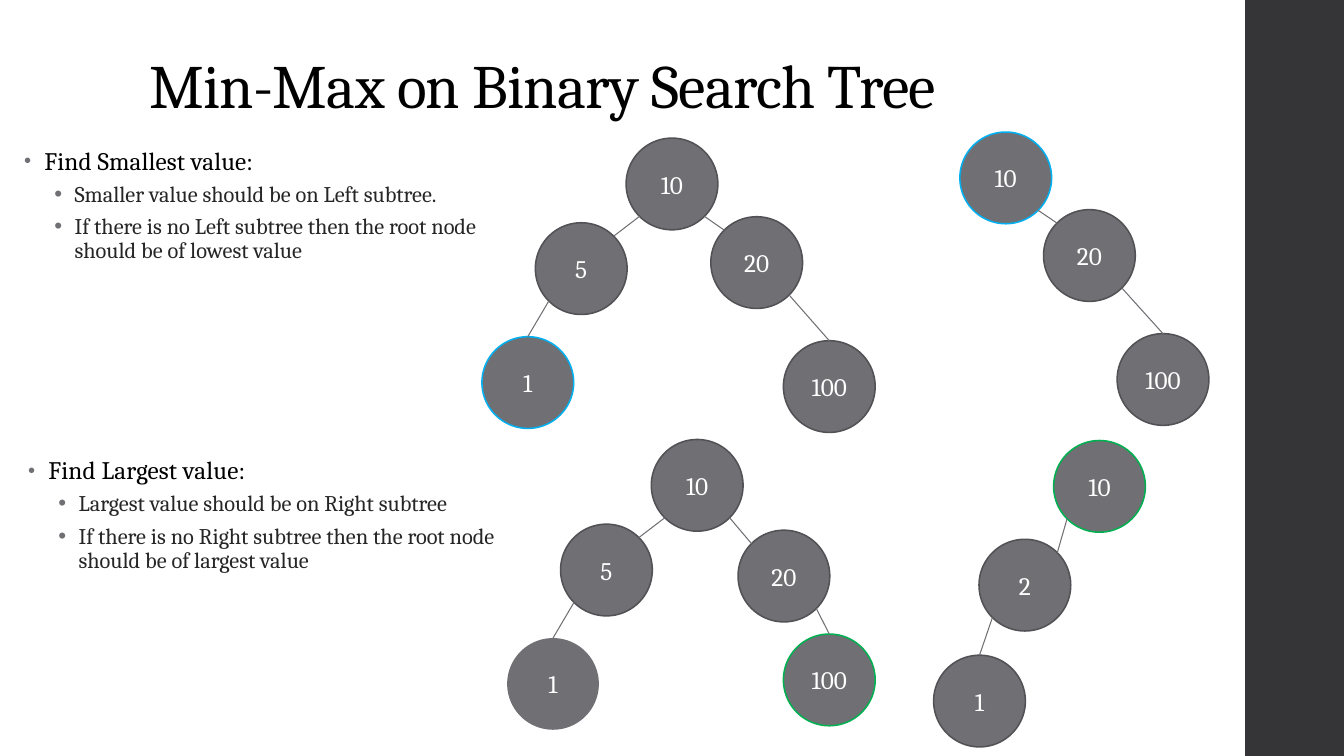
"""Builds the slide on finding minimum and maximum in a binary search tree."""
import math

from lxml import etree
from pptx import Presentation
from pptx.dml.color import RGBColor
from pptx.enum import shapes, text
from pptx.oxml import ns
from pptx.util import Inches, Pt

COLORS = {"sidebar": "353537", "node": "6F6F74", "rim": "525256", "min": "00B0F0",
          "max": "00B050", "title": "000000", "detail": "262626", "label": "FFFFFF"}
FONT = "Cambria"
DIAMETER = 0.91
RADIUS = DIAMETER / 2
CORNER = RADIUS * math.sqrt(0.5)

LEVELS = [
    {"indent": 0.2, "size": 18, "color": "title", "spacing": 10, "bullet": 80000,
     "format": {"line_spacing": 0.95, "space_before": Pt(0), "space_after": Pt(2)}},
    {"indent": 0.5, "size": 16, "color": "detail", "spacing": 0, "bullet": 100000,
     "format": {"line_spacing": 0.9, "space_before": Pt(3), "space_after": Pt(3)}},
]

LISTS = [
    ((0.14, 1.41, 5.34, 1.71), [
        "Find Smallest value:",
        "Smaller value should be on Left subtree.",
        "If there is no Left subtree then the root node should be of lowest value"]),
    ((0.18, 4.48, 5.34, 2.9), [
        "Find Largest value:",
        "Largest value should be on Right subtree",
        "If there is no Right subtree then the root node should be of largest value"]),
]

# Each node: value -> (left, top, rim colour, parent value)
TREES = [
    {10: (6.21, 1.37, "rim", None), 5: (5.31, 2.21, "rim", 10), 20: (7.05, 2.15, "rim", 10),
     1: (4.78, 3.34, "min", 5), 100: (7.77, 3.38, "rim", 20)},
    {10: (9.52, 1.31, "min", None), 20: (10.35, 2.08, "rim", 10), 100: (11.08, 3.31, "rim", 20)},
    {10: (6.46, 4.36, "rim", None), 5: (5.56, 5.2, "rim", 10), 20: (7.32, 5.26, "rim", 10),
     1: (5.03, 6.33, None, 5), 100: (7.77, 6.29, "max", 20)},
    {10: (10.45, 4.37, "max", None), 2: (9.71, 5.35, "rim", 10), 1: (9.26, 6.5, "rim", 2)},
]


def rgb(name):
    return RGBColor.from_string(COLORS[name])


def apply(target, values):
    for name, value in values.items():
        setattr(target, name, value)


def place(sp, box):
    apply(sp, dict(zip(("left", "top", "width", "height"), map(Inches, box))))


def add_run(p, words, size, color, spacing=0):
    r = p.add_run()
    r.text = words
    apply(r.font, {"name": FONT, "size": Pt(size)})
    r.font.color.rgb = rgb(color)
    if spacing:
        r.font._element.set("spc", str(spacing))


def add_bullet(p, indent, percent):
    ppr = p._p.get_or_add_pPr()
    ppr.set("marL", str(Inches(indent)))
    ppr.set("indent", str(Inches(-0.2)))
    color = etree.SubElement(ppr, ns.qn("a:buClr"))
    etree.SubElement(color, ns.qn("a:srgbClr"), val=COLORS["node"])
    etree.SubElement(ppr, ns.qn("a:buSzPct"), val=str(percent))
    etree.SubElement(ppr, ns.qn("a:buFont"), typeface="Arial")
    etree.SubElement(ppr, ns.qn("a:buChar"), char="•")


def fill_title(sp, words):
    place(sp, (1.38, 0.4, 10.6, 0.86))
    apply(sp.text_frame, {"vertical_anchor": text.MSO_ANCHOR.BOTTOM,
                          "auto_size": text.MSO_AUTO_SIZE.NONE})
    p = sp.text_frame.paragraphs[0]
    apply(p, {"alignment": text.PP_ALIGN.LEFT, "line_spacing": 0.9})
    add_run(p, words, 44, "title", -50)


def fill_list(sp, box, lines):
    place(sp, box)
    tf = sp.text_frame
    apply(tf, {"word_wrap": True, "auto_size": text.MSO_AUTO_SIZE.NONE,
               "vertical_anchor": text.MSO_ANCHOR.TOP})
    for i, line in enumerate(lines):
        p = tf.add_paragraph() if i else tf.paragraphs[0]
        p.level = min(i, 1)
        style = LEVELS[p.level]
        add_bullet(p, style["indent"], style["bullet"])
        apply(p, style["format"])
        add_run(p, line, style["size"], style["color"], style["spacing"])


def add_filled(group, kind, box, fill, line=None):
    sp = group.add_shape(kind, *map(Inches, box))
    sp.shadow.inherit = False
    sp.fill.solid()
    sp.fill.fore_color.rgb = rgb(fill)
    if line:
        sp.line.color.rgb = rgb(line)
        sp.line.width = Pt(1.1)
    else:
        sp.line.fill.background()
    return sp


def add_node(group, value, left, top, rim):
    sp = add_filled(group, shapes.MSO_SHAPE.OVAL, (left, top, DIAMETER, DIAMETER), "node", rim)
    tf = sp.text_frame
    tf.vertical_anchor = text.MSO_ANCHOR.MIDDLE
    p = tf.paragraphs[0]
    p.alignment = text.PP_ALIGN.CENTER
    add_run(p, str(value), 18, "label")


def add_edge(group, parent, child, to_top):
    """Joins a parent's lower corner to the child's top, or to its facing upper corner."""
    (px, py), (cx, cy) = [(n[0] + RADIUS, n[1] + RADIUS) for n in (parent, child)]
    side = math.copysign(CORNER, cx - px)
    end = (cx, cy - RADIUS) if to_top else (cx - side, cy - CORNER)
    line = group.add_connector(shapes.MSO_CONNECTOR.STRAIGHT,
                               *map(Inches, (px + side, py + CORNER, *end)))
    line.line.color.rgb = rgb("node")
    line.line.width = Pt(0.75)
    etree.SubElement(line._element.spPr, ns.qn("a:effectLst"))


def add_tree(s, nodes):
    group = s.shapes.add_group_shape().shapes
    for value, (left, top, rim, parent) in nodes.items():
        add_node(group, value, left, top, rim)
        if parent is not None:
            is_leaf = all(node[3] != value for node in nodes.values())
            add_edge(group, nodes[parent], nodes[value], is_leaf)


def main():
    prs = Presentation()
    apply(prs, {"slide_width": Inches(13.33), "slide_height": Inches(7.5)})
    s = prs.slides.add_slide(prs.slide_layouts[3])
    add_filled(s.shapes, shapes.MSO_SHAPE.RECTANGLE, (12.35, 0, 0.98, 7.5), "sidebar")
    fill_title(s.shapes.title, "Min-Max on Binary Search Tree")
    for idx, (box, lines) in enumerate(LISTS, 1):
        fill_list(s.placeholders[idx], box, lines)
    for nodes in TREES:
        add_tree(s, nodes)
    prs.save("out.pptx")


if __name__ == "__main__":
    main()
